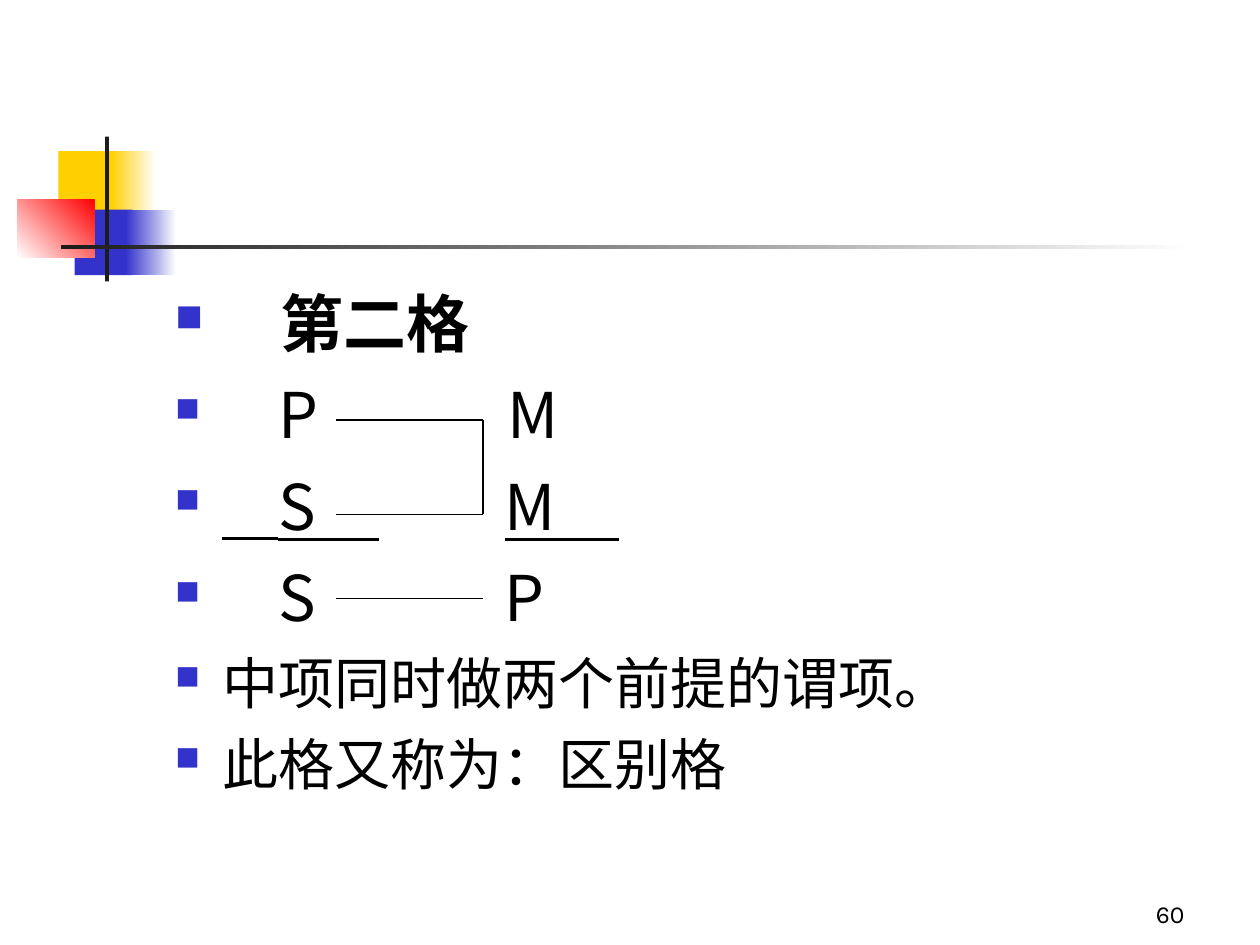
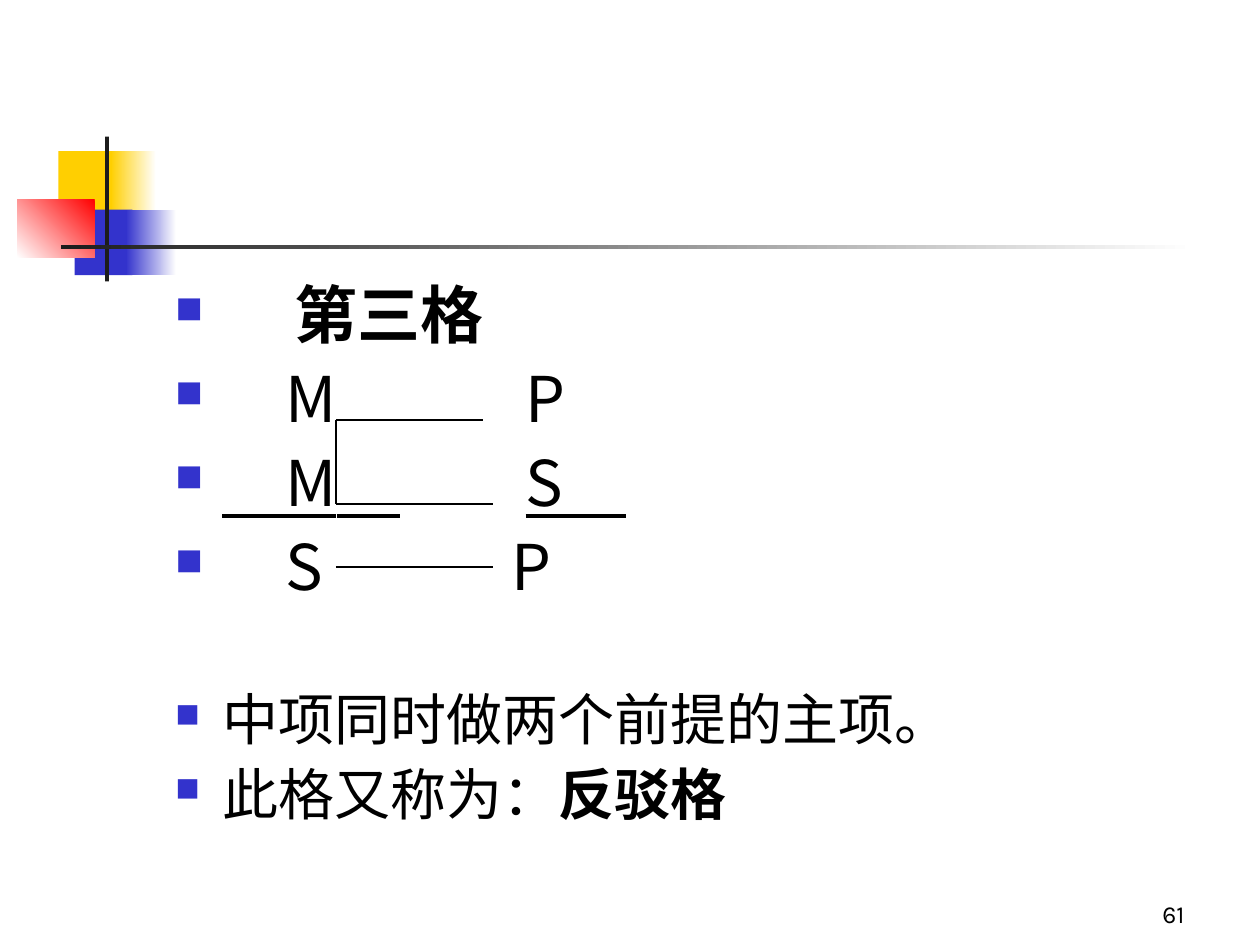
"""Two slides on the second and third figures of the syllogism."""
from lxml import etree
from pptx import Presentation
from pptx.dml.color import RGBColor
from pptx.enum import shapes, text
from pptx.oxml import ns
from pptx.util import Pt

BLACK = RGBColor(0x00, 0x00, 0x00)
WHITE = RGBColor(0xFF, 0xFF, 0xFF)
CHARCOAL = RGBColor(0x1C, 0x1C, 0x1C)
YELLOW = RGBColor(0xFF, 0xCF, 0x01)
BLUE = RGBColor(0x33, 0x33, 0xCC)
RED = RGBColor(0xFF, 0x00, 0x00)
CJK_SC, CJK_JP, NUMBER_FONT = "Noto Sans CJK SC", "Noto Sans CJK JP", "Karla"
HANGING = 27
TERM_SIZE = 36
SPACE = "　"

BANDS = [
    ((33.3, 86.4, 34.5, 37.4), (YELLOW,), 0),
    ((63.3, 86.4, 25.9, 37.4), (WHITE, YELLOW), 180),
    ((42.6, 119.8, 33.1, 37.4), (BLUE,), 0),
    ((72, 119.8, 28.8, 37.4), (WHITE, BLUE), 180),
    ((9.8, 113.8, 44.4, 33.4), (RED, WHITE), 225),
    ((60, 78, 2.3, 82.8), (CHARCOAL,), 0),
    ((34.8, 140.1, 648, 2.5), (WHITE, CHARCOAL), 180),
]

FIGURES = [
    {
        "number": "60", "title": "第二格", "title_indent": 60,
        "line_spacing": 1.0, "lead_size": 32,
        "terms": [("P", "M"), ("S", "M"), ("S", "P")],
        "notes": [
            (8, CJK_SC, [("中项同时做两个前提的谓项。", False)]),
            (8, CJK_SC, [("此格又称为：区别格", False)]),
        ],
        "lines": [(192, 240, 276, 240), (192, 294, 276, 294),
                  (276, 240, 276, 294), (192, 342, 276, 342)],
    },
    {
        "number": "61", "title": "第三格", "title_indent": 68,
        "line_spacing": 0.9, "lead_size": 36,
        "terms": [("M", "P"), ("M", "S"), ("S", "P")],
        "notes": [
            (50.5, CJK_JP, [("中项同时做两个前提的主项。", False)]),
            (8, CJK_SC, [("此格又称为：", False), ("反驳格", True)]),
        ],
        "lines": [(192, 240, 276, 240), (192, 288, 282, 288),
                  (192, 240, 192, 288), (192, 324, 282, 324)],
    },
]


def add_text_box(slide, left, top, width, height):
    frame = slide.shapes.add_textbox(Pt(left), Pt(top), Pt(width), Pt(height)).text_frame
    frame.word_wrap = True
    return frame


def add_bullet(paragraph, indent, space_before, line_spacing, font_name):
    properties = paragraph._p.get_or_add_pPr()
    properties.set("marL", str(Pt(indent)))
    properties.set("indent", str(-Pt(indent)))
    paragraph.line_spacing = line_spacing
    paragraph.space_before = Pt(space_before)
    color = etree.SubElement(properties, ns.qn("a:buClr"))
    etree.SubElement(color, ns.qn("a:srgbClr"), val=str(BLUE))
    etree.SubElement(properties, ns.qn("a:buSzPct"), val="60000")
    etree.SubElement(properties, ns.qn("a:buChar"), char="■")
    paragraph.font.name = font_name
    paragraph.font.color.rgb = BLACK
    defaults = properties.find(ns.qn("a:defRPr"))
    etree.SubElement(defaults, ns.qn("a:ea"), typeface=font_name)


presentation = Presentation()
presentation.slide_width, presentation.slide_height = Pt(720), Pt(540)

for figure in FIGURES:
    slide = presentation.slides.add_slide(presentation.slide_layouts[6])

    for box, colors, angle in BANDS:
        shape = slide.shapes.add_shape(shapes.MSO_SHAPE.RECTANGLE, *map(Pt, box))
        shape.shadow.inherit = False
        shape.line.fill.background()
        if len(colors) == 1:
            shape.fill.solid()
            shape.fill.fore_color.rgb = colors[0]
        else:
            shape.fill.gradient()
            shape.fill.gradient_angle = angle
            for stop, color in zip(shape.fill.gradient_stops, colors):
                stop.color.rgb = color

    body = add_text_box(slide, 93, 159, 612, 324)
    paragraph = body.paragraphs[0]
    add_bullet(paragraph, figure["title_indent"], 0, figure["line_spacing"], CJK_SC)
    paragraph.space_before = Pt(9)
    paragraph.font.size = Pt(TERM_SIZE)
    paragraph.font.bold = True
    paragraph.add_run().text = figure["title"]

    for row, (subject, predicate) in enumerate(figure["terms"]):
        paragraph = body.add_paragraph()
        add_bullet(paragraph, HANGING, 9, figure["line_spacing"], CJK_SC)
        is_minor_premise = row == 1
        paragraph.font.underline = is_minor_premise
        pieces = [(SPACE, figure["lead_size"], 0), (subject, TERM_SIZE, 0),
                  (SPACE, TERM_SIZE, 2 * TERM_SIZE), (predicate, TERM_SIZE, 0)]
        if is_minor_premise:
            pieces.append((SPACE, TERM_SIZE, 0))
        for words, size, tracking in pieces:
            run = paragraph.add_run()
            run.text = words
            run.font.size = Pt(size)
            if tracking:
                run._r.get_or_add_rPr().set("spc", str(tracking * 100))

    for space_before, font_name, pieces in figure["notes"]:
        paragraph = body.add_paragraph()
        add_bullet(paragraph, HANGING, space_before, figure["line_spacing"], font_name)
        paragraph.font.size = Pt(32)
        for words, bold in pieces:
            run = paragraph.add_run()
            run.text = words
            run.font.bold = bold

    for ends in figure["lines"]:
        line = slide.shapes.add_connector(shapes.MSO_CONNECTOR.STRAIGHT, *map(Pt, ends))
        line.line.color.rgb = BLACK
        line.line.width = Pt(0.75)
        etree.SubElement(line._element.spPr, ns.qn("a:effectLst"))

    footer = add_text_box(slide, 534, 498, 150, 36)
    footer.vertical_anchor = text.MSO_ANCHOR.BOTTOM
    paragraph = footer.paragraphs[0]
    paragraph.alignment = text.PP_ALIGN.RIGHT
    paragraph.font.name = NUMBER_FONT
    paragraph.font.size = Pt(14)
    paragraph.font.color.rgb = BLACK
    paragraph.add_run().text = figure["number"]

presentation.save("out.pptx")
